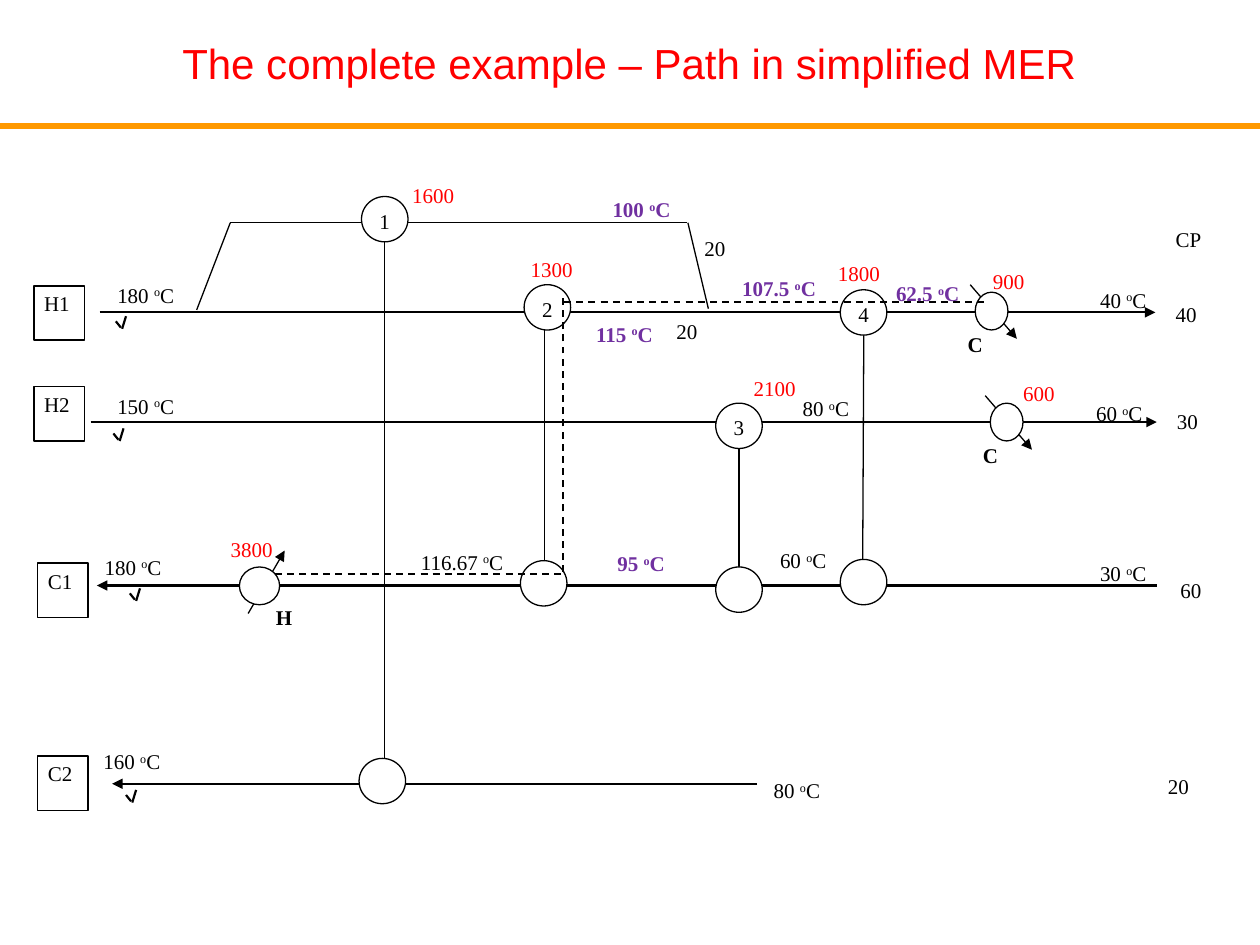
from lxml.etree import SubElement
from pptx import Presentation
from pptx.dml.color import RGBColor
from pptx.enum.dml import MSO_LINE
from pptx.enum.shapes import MSO_CONNECTOR, MSO_SHAPE
from pptx.enum.text import MSO_ANCHOR, MSO_AUTO_SIZE, PP_ALIGN
from pptx.oxml.ns import qn
from pptx.util import Pt

COLORS = {"black": "000000", "white": "FFFFFF", "red": "FF0000",
          "purple": "7030A0", "orange": "FF9900"}
TITLE = "The complete example – Path in simplified MER"

# Stream boxes, exchangers and utilities: text, left, top
STREAMS = [("H1", 19.4, 163.4), ("H2", 19.4, 221), ("C1", 21.6, 321.8), ("C2", 21.6, 432)]
EXCHANGERS = [("1", 206.6, 112.3), ("2", 299.5, 162.7), ("3", 409, 230.4), ("4", 480.2, 165.6),
              ("", 205.2, 433.4), ("", 297.4, 320.4), ("", 409, 324), ("", 480.2, 319.7)]
COOLERS = [(557.3, 167), (565.9, 230.4)]
HEATER = (136.8, 324)
TICKS = [(66.2, 183.6), (64.8, 247.7), (74.2, 339.1), (72, 454.3)]

# Lines: x1, y1, x2, y2
STREAM_LINES = [(56.9, 178.5, 660.2, 178.5), (51.8, 241.2, 661, 241.2),
                (661, 334.6, 55.4, 334.6), (432.7, 447.9, 64.1, 447.9)]
LINKS = [(219.7, 138.2, 219.7, 440), (311, 188, 311, 326.2),
         (422.3, 255.6, 422.3, 324), (493.6, 191.5, 493, 319.7)]
BYPASS = [(131.6, 127.3, 112.4, 177.1), (131.6, 127.3, 392.4, 127.3), (393.1, 127.3, 404.8, 176.4)]
PATH = [(157, 327.9, 322.4, 327.9), (321.7, 327, 321.7, 169.2), (322.4, 172.6, 564.5, 172.6)]

# Temperatures in degrees C: value, left, top, width
TEMPS = [("180", 61.2, 158.4, 51), ("40", 622.8, 161.3, 44.6), ("150", 61.2, 221.8, 57),
         ("60", 620.6, 226.1, 41), ("80", 452.9, 223.2, 41), ("180", 54, 313.9, 52),
         ("116.67", 234.7, 311, 63.4), ("60", 439.9, 310.3, 48), ("30", 622.8, 317.5, 52),
         ("160", 53.3, 424.8, 49), ("80", 436.3, 441.4, 42)]
PATH_TEMPS = [("100", 344.2, 109.4, 48), ("115", 334.8, 180.7, 48), ("107.5", 418.3, 154.8, 63.4),
              ("62.5", 506.2, 157.7, 63.4), ("95", 347, 311.8, 48)]
DUTIES = [("1600", 229.7, 101.5, 54), ("1300", 297.4, 144, 70), ("1800", 473, 146.2, 54),
          ("900", 561.6, 150.5, 54), ("2100", 424.8, 211.7, 54), ("600", 578.9, 214.6, 54),
          ("3800", 126, 303.8, 83.5)]
UTILITY_NAMES = [("C", 547.2, 186.5), ("C", 555.8, 249.8), ("H", 151.9, 342.7)]
CP_VALUES = [("CP", 671.8, 127.4), ("40", 671.8, 169.9), ("30", 672.5, 231.1),
             ("60", 674.6, 327.6), ("20", 667.4, 439.9), ("20", 402.5, 132.5), ("20", 386.6, 180)]

prs = Presentation()
prs.slide_width, prs.slide_height = Pt(720), Pt(540)
s = prs.slides.add_slide(prs.slide_layouts[5])


def rgb(name):
    return RGBColor.from_string(COLORS[name])


def line(ends, width=0.75, color="black", arrow=False, dash=False):
    c = s.shapes.add_connector(MSO_CONNECTOR.STRAIGHT, *map(Pt, ends))
    c.line.width = Pt(width)
    c.line.color.rgb = rgb(color)
    if dash:
        c.line.dash_style = MSO_LINE.DASH
    if arrow:
        SubElement(c.line._get_or_add_ln(), qn("a:tailEnd"), type="triangle")
    SubElement(c._element.spPr, qn("a:effectLst"))


def write(sp, runs, color="black", bold=False, align=PP_ALIGN.LEFT, inset=(5.8, 0.7)):
    tf = sp.text_frame
    frame = {"word_wrap": True, "vertical_anchor": MSO_ANCHOR.TOP,
             "margin_left": Pt(inset[0]), "margin_right": Pt(inset[0]),
             "margin_top": Pt(inset[1]), "margin_bottom": Pt(inset[1])}
    for key, value in frame.items():
        setattr(tf, key, value)
    p = tf.paragraphs[0]
    for key, value in {"alignment": align, "line_spacing": 1.15, "space_after": Pt(10)}.items():
        setattr(p, key, value)
    for i, text in enumerate(runs):
        r = p.add_run()
        r.text = text
        for key, value in {"name": "Times New Roman", "size": Pt(12), "bold": bold}.items():
            setattr(r.font, key, value)
        r.font.color.rgb = rgb(color)
        if i == 1:  # raised degree sign
            r._r.get_or_add_rPr().set("baseline", "30000")


def shape(kind, x, y, w, h, text="", align=PP_ALIGN.CENTER):
    sp = s.shapes.add_shape(kind, *map(Pt, (x, y, w, h)))
    sp.shadow.inherit = False
    sp.fill.solid()
    sp.fill.fore_color.rgb = rgb("white")
    sp.line.color.rgb = rgb("black")
    sp.line.width = Pt(0.75)
    if text:
        write(sp, [text], align=align)


def label(runs, x, y, w, h, **style):
    write(s.shapes.add_textbox(*map(Pt, (x, y, w, h))), runs, **style)


# Title and rule
title = s.shapes.title
title.left, title.top, title.width, title.height = map(Pt, (94.3, 18, 530.6, 36))
tf = title.text_frame
tf.text = TITLE
tf.word_wrap = False
tf.auto_size = MSO_AUTO_SIZE.NONE
tf.vertical_anchor = MSO_ANCHOR.MIDDLE
tf.paragraphs[0].alignment = PP_ALIGN.CENTER
font = tf.paragraphs[0].runs[0].font
font.name, font.size, font.color.rgb = "Arial", Pt(24), rgb("red")
line((0, 72, 720, 72), 3, "orange")

# Streams, links and bypass
for ends in STREAM_LINES:
    line(ends, 1.25, arrow=True)
for ends in LINKS + BYPASS:
    line(ends)
for x, y in TICKS:
    line((x, y, x + 2.9, y + 3.6), 1.25)
    line((x + 3.6, y + 4.3, x + 5.8, y - 2.9), 1.25)
for name, x, y in STREAMS:
    shape(MSO_SHAPE.RECTANGLE, x, y, 28.8, 31, name, PP_ALIGN.LEFT)

# Utilities and exchangers
for x, y in COOLERS:
    line((x - 2.9, y - 4.3, x + 23.8, y + 26.6), arrow=True)
    shape(MSO_SHAPE.OVAL, x, y, 18.7, 21.6)
x, y = HEATER
line((x + 5, y + 26.6, x + 25.9, y - 9.4), arrow=True)
shape(MSO_SHAPE.OVAL, x, y, 23, 21.6)
for number, x, y in EXCHANGERS:
    shape(MSO_SHAPE.OVAL, x, y, 26.6, 25.9, number)

# Dashed heat path
for ends in PATH:
    line(ends, 1, dash=True)

# Labels
for group, style in ((TEMPS, {}), (PATH_TEMPS, {"color": "purple", "bold": True})):
    for value, x, y, w in group:
        label([value + " ", "o", "C"], x, y, w, 28, **style)
for value, x, y, w in DUTIES:
    label([value], x, y, w, 23, color="red")
for name, x, y in UTILITY_NAMES:
    label([name], x, y, 21.6, 24.5, bold=True)
for value, x, y in CP_VALUES:
    label([value], x, y, 21.6, 25, inset=(0, 0))

prs.save("out.pptx")
